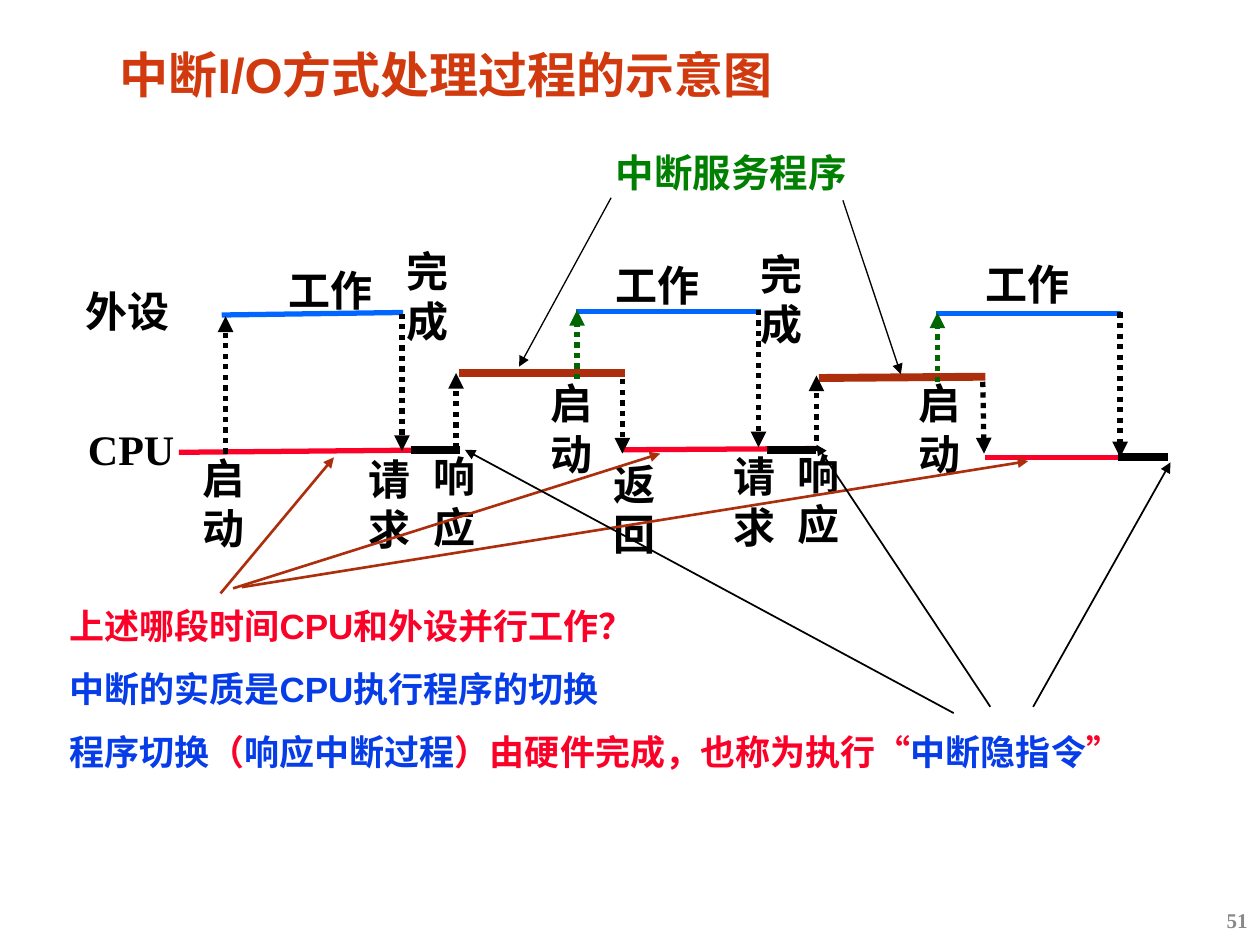
import pptx
import pptx.util
import pptx.dml.color
import pptx.enum.dml
import pptx.enum.lang
import pptx.enum.shapes
import pptx.enum.text
import pptx.oxml
import pptx.oxml.ns
from lxml import etree

Inches = pptx.util.Inches
BLACK, RED, BLUE, BROWN = "000000", "FC0128", "063DE8", "AC2E0C"
DEVICE_BLUE, START_GREEN = "0066FF", "006600"


def write_runs(paragraph, runs, size, name):
    """Add (text, colour) runs in bold to a paragraph."""
    for text, colour in runs:
        run = paragraph.add_run()
        run.text = text
        font_values = {
            "size": pptx.util.Pt(size),
            "name": name,
            "bold": True,
            "language_id": pptx.enum.lang.MSO_LANGUAGE_ID.SIMPLIFIED_CHINESE,
        }
        for attribute, value in font_values.items():
            setattr(run.font, attribute, value)
        run.font.color.rgb = pptx.dml.color.RGBColor.from_string(colour)


def add_line(start, end, colour, width, arrow=False, dotted=False):
    """Draw a straight connector, with an optional arrowhead at its end."""
    connector = slide.shapes.add_connector(
        pptx.enum.shapes.MSO_CONNECTOR.STRAIGHT,
        *(Inches(value) for value in start + end))
    connector.line.color.rgb = pptx.dml.color.RGBColor.from_string(colour)
    connector.line.width = pptx.util.Pt(width)
    if dotted:
        connector.line.dash_style = pptx.enum.dml.MSO_LINE.ROUND_DOT
    if arrow:
        tail = etree.SubElement(connector.line._get_or_add_ln(), pptx.oxml.ns.qn("a:tailEnd"))
        tail.set("type", "triangle")
    etree.SubElement(connector._element.spPr, pptx.oxml.ns.qn("a:effectLst"))


presentation = pptx.Presentation()
presentation.slide_width = Inches(10)
presentation.slide_height = Inches(7.5)
slide = presentation.slides.add_slide(presentation.slide_layouts[5])

# Title
title = slide.shapes.title
title_box = {"left": 0.88, "top": 0.39, "width": 5.61, "height": 0.46}
for attribute, value in title_box.items():
    setattr(title, attribute, Inches(value))
title_frame = title.text_frame
frame_values = {
    "margin_left": Inches(0.07), "margin_right": Inches(0.07),
    "margin_top": Inches(0.03), "margin_bottom": Inches(0.03),
    "vertical_anchor": pptx.enum.text.MSO_ANCHOR.TOP,
    "word_wrap": True,
    "auto_size": pptx.enum.text.MSO_AUTO_SIZE.SHAPE_TO_FIT_TEXT,
}
for attribute, value in frame_values.items():
    setattr(title_frame, attribute, value)
title_paragraph = title_frame.paragraphs[0]
title_paragraph.alignment = pptx.enum.text.PP_ALIGN.LEFT
title_paragraph.line_spacing = 0.87
write_runs(title_paragraph, [("中断I/O方式处理过程的示意图", "D1390F")], 28, "Arial")

# Timeline segments: main program, device work, service routine, response
segments = [
    (RED, 3, [((1.42, 3.59), (3.62, 3.57)), ((4.94, 3.57), (6.5, 3.56)),
              ((7.82, 3.63), (9.2, 3.63))]),
    (DEVICE_BLUE, 3, [((1.76, 2.5), (3.2, 2.48)), ((4.57, 2.47), (6.04, 2.47)),
                      ((7.43, 2.49), (8.9, 2.49))]),
    (BROWN, 4.5, [((3.64, 2.96), (4.96, 2.96)), ((6.5, 3), (7.82, 2.99))]),
    (BLACK, 4.5, [((3.26, 3.57), (3.65, 3.57)), ((6.09, 3.57), (6.48, 3.57)),
                  ((8.87, 3.63), (9.27, 3.63))]),
]
for colour, width, spans in segments:
    for start, end in spans:
        add_line(start, end, colour, width)

# Dotted transitions between the levels
transitions = [
    ((1.79, 3.6), (1.79, 2.51), BLACK),
    ((3.19, 2.49), (3.19, 3.58), BLACK),
    ((3.62, 3.56), (3.62, 2.96), BLACK),
    ((4.58, 3.01), (4.58, 2.46), START_GREEN),
    ((4.94, 3.01), (4.94, 3.6), BLACK),
    ((6.02, 2.46), (6.02, 3.55), BLACK),
    ((6.48, 3.58), (6.48, 2.98), BLACK),
    ((7.44, 3.03), (7.44, 2.48), START_GREEN),
    ((7.8, 3.03), (7.81, 3.6), BLACK),
    ((8.89, 2.48), (8.89, 3.63), BLACK),
]
for start, end, colour in transitions:
    add_line(start, end, colour, 3, arrow=True, dotted=True)

# Labels: text, width, height, size, colour, positions
labels = [
    ("外设", 0.94, 0.5, 24, BLACK, [(0.58, 2.22)]),
    ("CPU", 0.94, 0.5, 24, BLACK, [(0.6, 3.31)]),
    ("工作", 1.16, 0.5, 24, BLACK, [(2.19, 2.05), (4.79, 2.01), (7.72, 2)]),
    ("完成", 0.5, 0.9, 24, BLACK, [(3.13, 1.9), (5.94, 1.92)]),
    ("启动", 0.54, 0.9, 24, BLACK, [(1.51, 3.54), (4.27, 2.95), (7.19, 2.95)]),
    ("请求", 0.57, 0.9, 24, BLACK, [(2.83, 3.55), (5.72, 3.53)]),
    ("响应", 0.57, 0.9, 24, BLACK, [(3.34, 3.53), (6.23, 3.51)]),
    ("返回", 0.57, 0.9, 24, BLACK, [(4.77, 3.59)]),
    ("中断服务程序", 2.78, 0.47, 22, "008000", [(4.79, 1.13)]),
]
for text, width, height, size, colour, positions in labels:
    for left, top in positions:
        label = slide.shapes.add_textbox(
            Inches(left), Inches(top), Inches(width), Inches(height))
        label.text_frame.word_wrap = True
        label.text_frame.auto_size = pptx.enum.text.MSO_AUTO_SIZE.SHAPE_TO_FIT_TEXT
        write_runs(label.text_frame.paragraphs[0], [(text, colour)], size, "Times New Roman")

# Question and conclusions
notes = slide.shapes.add_textbox(Inches(0.45), Inches(4.58), Inches(9.55), Inches(1.62))
notes.text_frame.word_wrap = True
notes.text_frame.auto_size = pptx.enum.text.MSO_AUTO_SIZE.SHAPE_TO_FIT_TEXT
statements = [
    [("上述哪段时间CPU和外设并行工作？", RED)],
    [("中断的实质是CPU执行程序的切换", BLUE)],
    [("程序切换", BLUE), ("（", RED), ("响应中断过程", BLUE),
     ("）由硬件完成，也称为执行“", RED), ("中断隐指令", BLUE), ("”", RED)],
]
for index, runs in enumerate(statements):
    paragraph = notes.text_frame.add_paragraph() if index else notes.text_frame.paragraphs[0]
    paragraph.line_spacing = 1.5
    write_runs(paragraph, runs, 20, "Arial")

# Pointers from the explanations to the timeline
pointers = [
    (BLACK, 0.75, [((4.85, 1.57), (4.12, 2.91)), ((6.69, 1.59), (7.15, 2.97))]),
    (BROWN, 1.5, [((1.75, 4.71), (2.65, 3.63)), ((1.85, 4.67), (5.24, 3.6)),
                  ((1.92, 4.66), (8.16, 3.66))]),
    (BLACK, 1, [((8.2, 5.61), (9.29, 3.67)), ((7.57, 5.66), (3.69, 3.57)),
                ((7.86, 5.61), (6.48, 3.53))]),
]
for colour, width, spans in pointers:
    for start, end in spans:
        add_line(start, end, colour, width, arrow=True)

# Page number
page_number = slide.shapes.add_textbox(Inches(7.75), Inches(7.1), Inches(2.25), Inches(0.4))
page_number.text_frame.word_wrap = True
page_number.text_frame.vertical_anchor = pptx.enum.text.MSO_ANCHOR.MIDDLE
number_paragraph = page_number.text_frame.paragraphs[0]
number_paragraph.alignment = pptx.enum.text.PP_ALIGN.RIGHT
write_runs(number_paragraph, [("51", "898989")], 12, "Times New Roman")

presentation.save("out.pptx")
